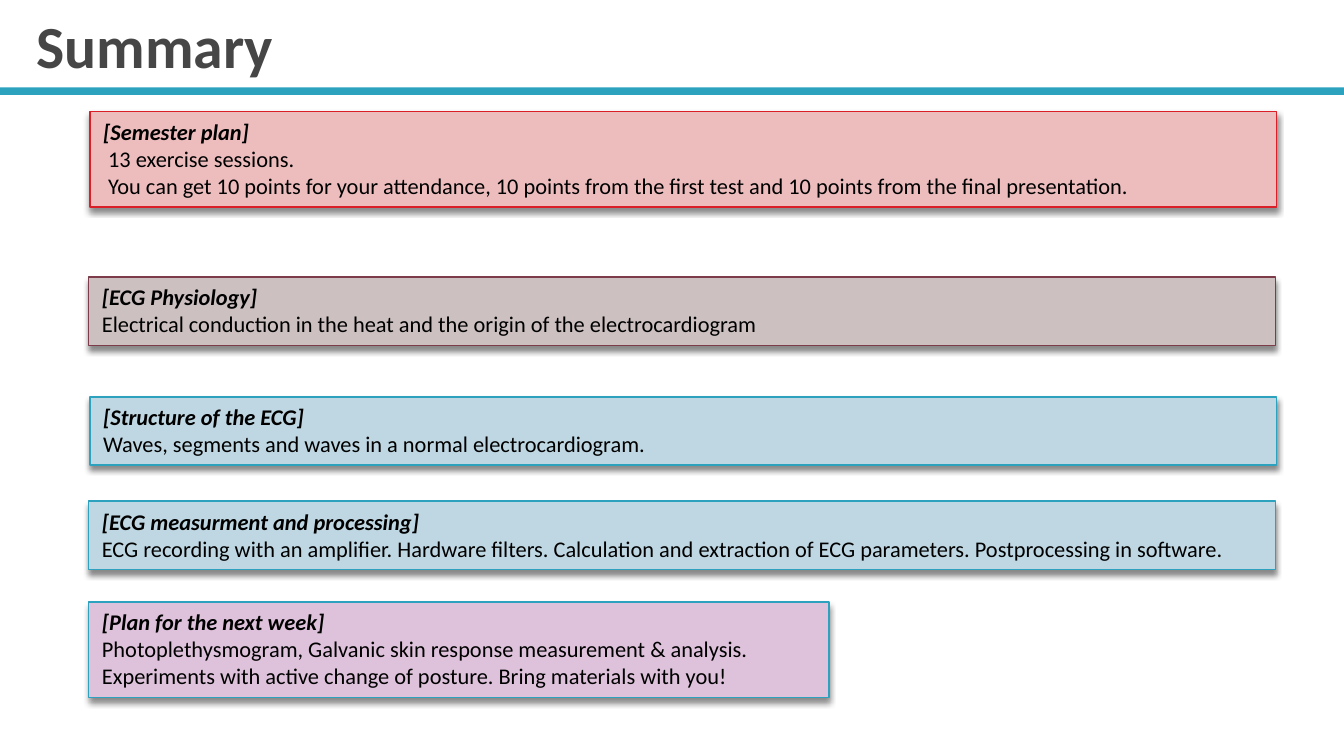
"""Builds the summary slide of an ECG course."""
from lxml import etree
from pptx import Presentation
from pptx.dml.color import RGBColor
from pptx.enum import shapes, text
from pptx.oxml import ns
from pptx.util import Pt

BLACK = RGBColor(0x00, 0x00, 0x00)
GRAY = RGBColor(0x46, 0x46, 0x46)
TEAL = RGBColor(0x2D, 0xA2, 0xBF)
RED = RGBColor(0xDA, 0x1F, 0x28)
MAROON = RGBColor(0x7D, 0x3C, 0x4A)
PINK = RGBColor(0xED, 0xBD, 0xBE)
TAUPE = RGBColor(0xCC, 0xC0, 0xC1)
PALE_BLUE = RGBColor(0xBE, 0xD7, 0xE2)
LILAC = RGBColor(0xDE, 0xC2, 0xDB)

LEFT, SHIFTED, WIDE, NARROW = 47.5, 48.2, 635.8, 396.7
TWO_LINES, THREE_LINES = 36.6, 51.2

SECTIONS = [
    (SHIFTED, 59.8, WIDE, THREE_LINES, PINK, RED, "[Semester plan]",
     [" 13 exercise sessions.",
      " You can get 10 points for your attendance, 10 points from the first test "
      "and 10 points from the final presentation."]),
    (LEFT, 148.4, WIDE, TWO_LINES, TAUPE, MAROON, "[ECG Physiology]",
     ["Electrical conduction in the heat and the origin of the electrocardiogram"]),
    (SHIFTED, 212.6, WIDE, TWO_LINES, PALE_BLUE, TEAL, "[Structure of the ECG]",
     ["Waves, segments and waves in a normal electrocardiogram."]),
    (LEFT, 322.5, NARROW, THREE_LINES, LILAC, TEAL, "[Plan for the next week]",
     ["Photoplethysmogram, Galvanic skin response measurement & analysis. "
      "Experiments with active change of posture. Bring materials with you!"]),
    (LEFT, 268.5, WIDE, TWO_LINES, PALE_BLUE, TEAL, "[ECG measurment and processing]",
     ["ECG recording with an amplifier. Hardware filters. Calculation and extraction "
      "of ECG parameters. Postprocessing in software."]),
]


class SlideBuilder:
    """Holds the text style and the current page."""

    font_name = "Calibri"
    title_size = 32
    body_size = 12

    def __init__(self, page):
        self.page = page

    def style(self, para, size, color, bold=False, italic=False):
        """Formats a whole paragraph."""
        para.alignment = text.PP_ALIGN.LEFT
        font = para.font
        font.name, font.size = self.font_name, Pt(size)
        font.bold, font.italic = bold, italic
        font.color.rgb = color

    def title(self, words, left, top, width, height):
        """Moves and fills the title placeholder."""
        box = self.page.shapes.title
        box.left, box.top, box.width, box.height = map(Pt, (left, top, width, height))
        frame = box.text_frame
        frame.text = words
        frame.auto_size = text.MSO_AUTO_SIZE.NONE
        frame.vertical_anchor = text.MSO_ANCHOR.BOTTOM
        self.style(frame.paragraphs[0], self.title_size, GRAY, bold=True)

    def bar(self, left, top, width, height, fill):
        """Adds a plain filled rectangle."""
        box = self.page.shapes.add_shape(
            shapes.MSO_SHAPE.RECTANGLE, *map(Pt, (left, top, width, height)))
        box.shadow.inherit = False
        box.fill.solid()
        box.fill.fore_color.rgb = fill
        box.line.fill.background()
        return box

    def drop_shadow(self, box):
        """Adds a soft shadow below a box."""
        effects = box._element.spPr.find(ns.qn("a:effectLst"))
        shadow = etree.SubElement(
            effects, ns.qn("a:outerShdw"), blurRad=str(Pt(3)), dist=str(Pt(2.4)),
            dir="5400000", algn="ctr", rotWithShape="0")
        color = etree.SubElement(shadow, ns.qn("a:srgbClr"), val=str(BLACK))
        etree.SubElement(color, ns.qn("a:alpha"), val="45000")

    def section(self, left, top, width, height, fill, outline, heading, lines):
        """Adds a framed box with a heading and its lines."""
        box = self.bar(left, top, width, height, fill)
        box.line.color.rgb = outline
        box.line.width = Pt(0.79)
        self.drop_shadow(box)
        frame = box.text_frame
        frame.word_wrap = True
        frame.auto_size = text.MSO_AUTO_SIZE.SHAPE_TO_FIT_TEXT
        frame.vertical_anchor = text.MSO_ANCHOR.TOP
        frame.text = "\n".join([heading, *lines])
        for index, para in enumerate(frame.paragraphs):
            is_heading = index == 0
            self.style(para, self.body_size, BLACK, bold=is_heading, italic=is_heading)


def main():
    """Builds and saves the deck."""
    deck = Presentation()
    deck.slide_width, deck.slide_height = Pt(720), Pt(405)
    builder = SlideBuilder(deck.slides.add_slide(deck.slide_layouts[5]))
    builder.bar(0, 46.8, 720, 4, TEAL)
    builder.title("Summary", 12.2, 9.4, 689.8, 37.4)
    for section in SECTIONS:
        builder.section(*section)
    deck.save("out.pptx")


if __name__ == "__main__":
    main()
